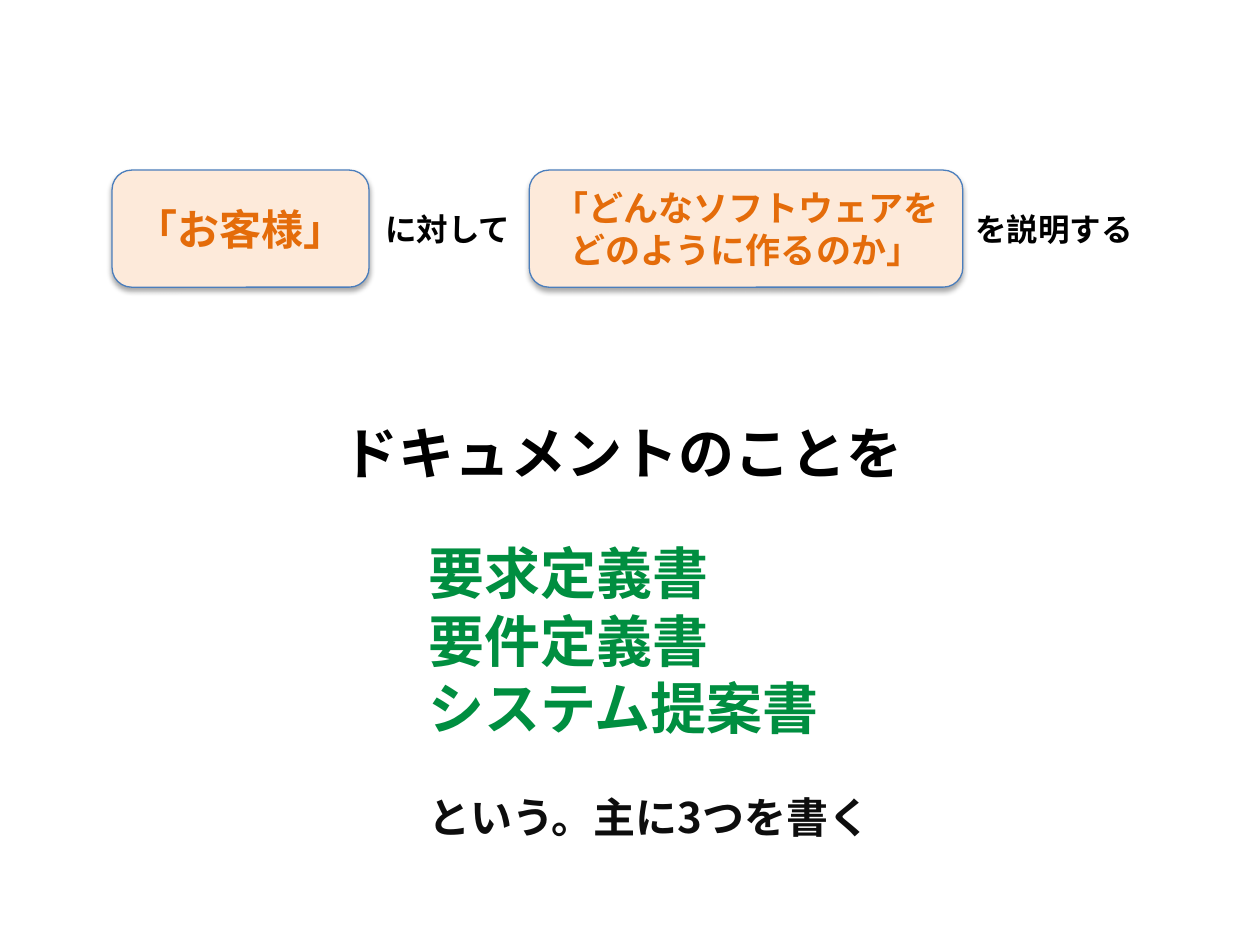
from lxml import etree
from pptx import Presentation
from pptx import util as u
from pptx.dml import color
from pptx.enum import shapes, text
from pptx.oxml import ns

FONT = "Noto Sans CJK JP"
SHADOW = (
    '<a:effectLst xmlns:a="http://schemas.openxmlformats.org/drawingml/2006/main">'
    '<a:outerShdw blurRad="40000" dist="23000" dir="5400000" rotWithShape="0">'
    '<a:srgbClr val="000000"><a:alpha val="35000"/></a:srgbClr>'
    '</a:outerShdw></a:effectLst>'
)


def rgb(value):
    return color.RGBColor.from_string(value)


def write(paragraph, words, size, ink):
    paragraph.text = words
    paragraph.line_spacing = u.Pt(size * 1.2)
    font = paragraph.font
    font.size = u.Pt(size)
    font.bold = True
    font.color.rgb = rgb(ink)
    font.name = FONT
    east_asian = etree.SubElement(font._element, ns.qn("a:ea"))
    east_asian.set("typeface", FONT)


deck = Presentation()
deck.slide_width, deck.slide_height = u.Cm(25.4), u.Cm(19.05)
slide = deck.slides.add_slide(deck.slide_layouts[6])

for left, width, words, size in [
    (2.26, 5.18, "「お客様」", 24),
    (10.67, 8.74, "「どんなソフトウェアをどのように作るのか」", 20),
]:
    topic = slide.shapes.add_shape(
        shapes.MSO_SHAPE.ROUNDED_RECTANGLE, u.Cm(left), u.Cm(3.43), u.Cm(width), u.Cm(2.36))
    topic.fill.solid()
    topic.fill.fore_color.rgb = rgb("FDEADA")
    topic.line.color.rgb = rgb("4B7EBC")
    topic.line.width = u.Pt(0.75)
    topic._element.spPr.append(etree.fromstring(SHADOW))
    topic.text_frame.vertical_anchor = text.MSO_ANCHOR.MIDDLE
    write(topic.text_frame.paragraphs[0], words, size, "E46C0A")
    topic.text_frame.paragraphs[0].alignment = text.PP_ALIGN.CENTER

for left, top, width, height, lines in [
    (7.52, 4.11, 3.07, 1.02, [("に対して", 18, "000000")]),
    (19.41, 4.11, 3.71, 1.02, [("を説明する", 18, "000000")]),
    (6.65, 8.31, 11.91, 1.63, [("ドキュメントのことを", 32, "000000")]),
    (8.38, 10.74, 10.59, 6.4, [
        ("要求定義書", 32, "008E40"),
        ("要件定義書\vシステム提案書", 32, "008E40"),
        ("という。主に3つを書く", 24, "0D0D0D"),
    ]),
]:
    phrase = slide.shapes.add_textbox(u.Cm(left), u.Cm(top), u.Cm(width), u.Cm(height))
    frame = phrase.text_frame
    frame.word_wrap = False
    frame.auto_size = text.MSO_AUTO_SIZE.SHAPE_TO_FIT_TEXT
    for index, line in enumerate(lines):
        paragraph = frame.add_paragraph() if index else frame.paragraphs[0]
        write(paragraph, *line)

closing = frame.paragraphs[-1]
closing.alignment = text.PP_ALIGN.RIGHT
closing.space_before = u.Pt(29)

deck.save("out.pptx")
